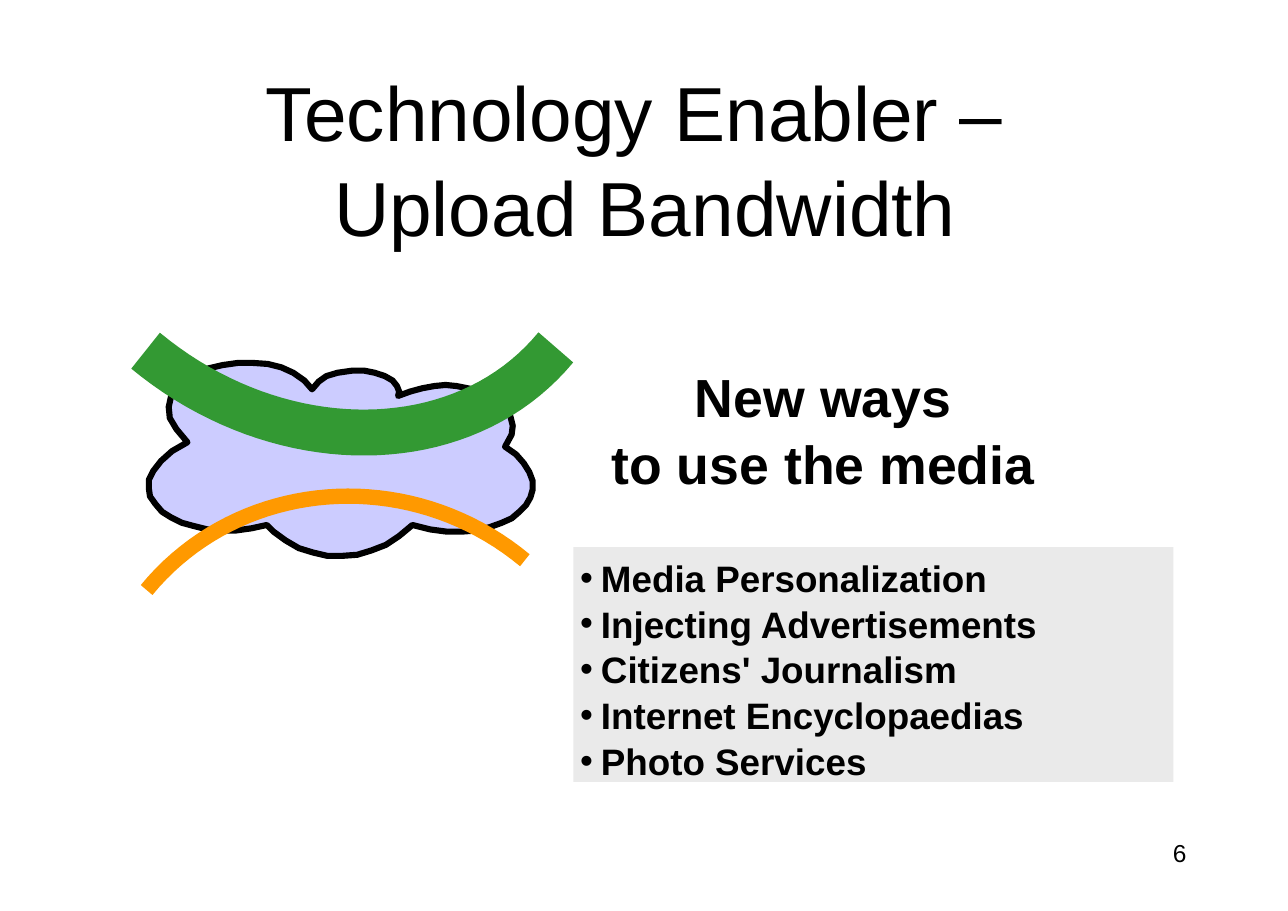
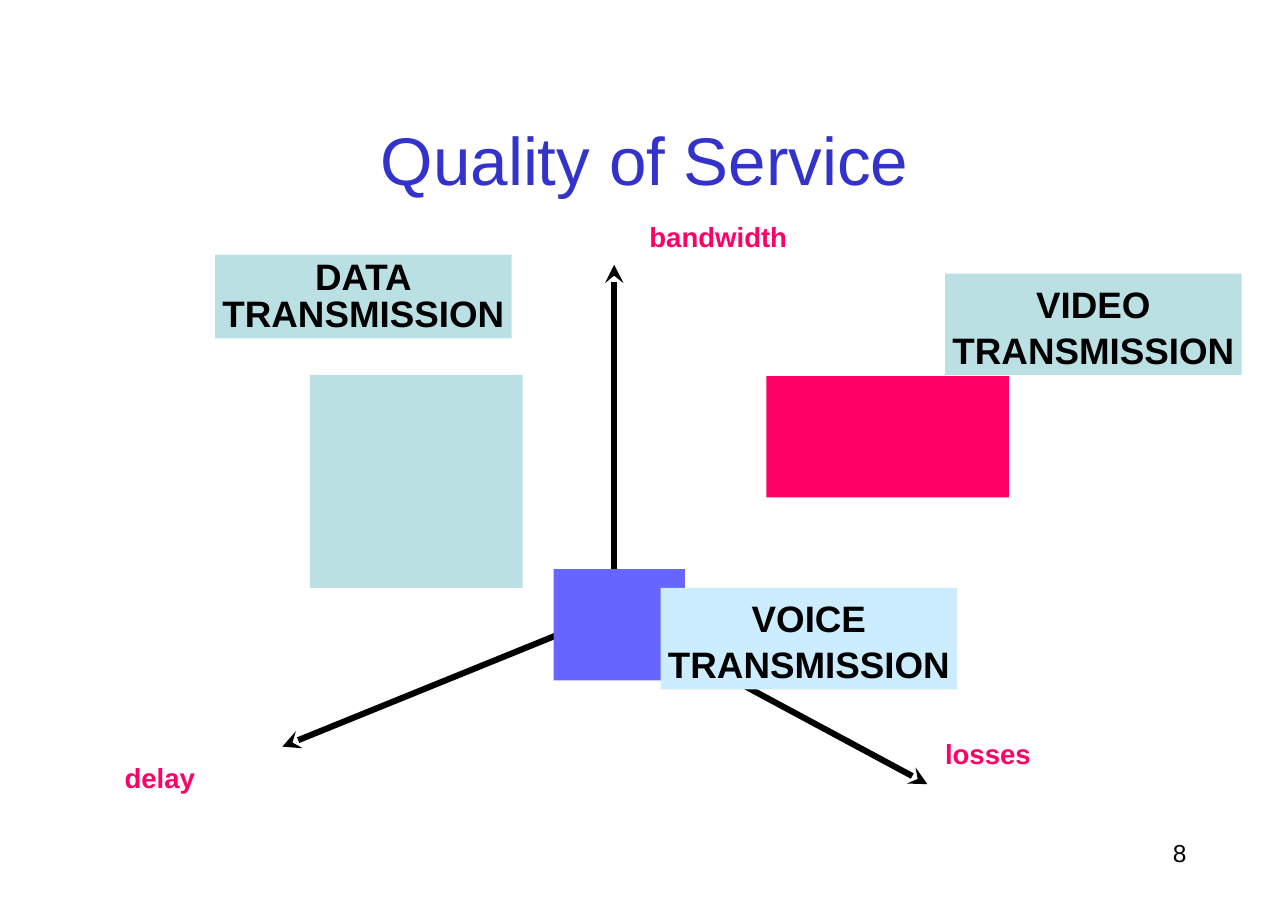
from pptx import Presentation
from pptx.dml.color import RGBColor
from pptx.enum.shapes import MSO_CONNECTOR as Connector, MSO_SHAPE as Shape
from pptx.enum.text import MSO_ANCHOR as Anchor, MSO_AUTO_SIZE as AutoSize, PP_ALIGN as Align
from pptx.oxml.ns import qn
from pptx.util import Inches, Pt
from lxml.etree import SubElement

# Shared style
FONT = "Arial"
INSET = Inches(0.06)
LEADING = 1.04
BLACK = RGBColor(0x00, 0x00, 0x00)
INDIGO = RGBColor(0x33, 0x33, 0xCC)
LAVENDER = RGBColor(0xCC, 0xCC, 0xFF)
GREEN = RGBColor(0x33, 0x99, 0x33)
ORANGE = RGBColor(0xFF, 0x99, 0x00)
GREY = RGBColor(0xEA, 0xEA, 0xEA)
PINK = RGBColor(0xFF, 0x00, 0x66)
BLUE = RGBColor(0x66, 0x66, 0xFF)
SKY = RGBColor(0xCC, 0xEC, 0xFF)
TEAL = RGBColor(0xBB, 0xE0, 0xE3)


def write(box, paragraphs, size, color=BLACK, bold=False, align=Align.LEFT,
          spacing=LEADING, anchor=Anchor.TOP, wrap=True):
    """Fill a box with paragraphs; a newline inside one is a line break."""
    frame = box.text_frame
    frame.word_wrap = wrap
    frame.auto_size = AutoSize.NONE
    frame.vertical_anchor = anchor
    frame.margin_left = frame.margin_right = INSET
    frame.margin_top = frame.margin_bottom = INSET
    for number, text in enumerate(paragraphs):
        para = frame.add_paragraph() if number else frame.paragraphs[0]
        para.alignment = align
        para.line_spacing = spacing
        para.space_before = Pt(0)
        for row, line in enumerate(text.split("\n")):
            if row:
                para.add_line_break()
            span = para.add_run()
            span.text = line
            span.font.name = FONT
            span.font.size = Pt(size)
            span.font.bold = bold
            span.font.color.rgb = color


def outline(page, points, color, width, fill=None):
    """Draw a freeform through points in inches, closed when it has a fill."""
    corners = [(Inches(x), Inches(y)) for x, y in points]
    builder = page.shapes.build_freeform(*corners[0])
    builder.add_line_segments(corners[1:], close=fill is not None)
    shape = builder.convert_to_shape()
    shape.shadow.inherit = False
    if fill is None:
        shape.fill.background()
    else:
        shape.fill.solid()
        shape.fill.fore_color.rgb = fill
    shape.line.color.rgb = color
    shape.line.width = Pt(width)
    SubElement(shape.line._get_or_add_ln(), qn("a:round"))


deck = Presentation()
deck.slide_width, deck.slide_height = Inches(11.68), Inches(8.26)

# The master places the title for every slide
master_title = deck.slide_master.placeholders[0]
master_title.left, master_title.top = Inches(0.88), Inches(0.73)
master_title.width, master_title.height = Inches(9.94), Inches(1.38)

# Slides with title and page number
pages = []
for layout, title, size, color, number in [
    (1, ["Technology Enabler – ", "Upload Bandwidth"], 50, BLACK, "6"),
    (5, ["Quality of Service"], 44, INDIGO, "8"),
]:
    page = deck.slides.add_slide(deck.slide_layouts[layout])
    write(page.shapes.title, title, size, color, align=Align.CENTER, anchor=Anchor.MIDDLE)
    box = page.shapes.add_textbox(Inches(10.44), Inches(7.54), Inches(0.38), Inches(0.36))
    write(box, [number], 16, align=Align.RIGHT, spacing=1.0)
    pages.append(page)
bandwidth_page, quality_page = pages

# Cloud, one row of points for each lobe
cloud = [
    (1.7, 4.01), (1.6, 3.89), (1.54, 3.79), (1.53, 3.69), (1.55, 3.6), (1.6, 3.52),
    (1.68, 3.44), (1.78, 3.39), (1.89, 3.34), (2.02, 3.31), (2.16, 3.29), (2.29, 3.29),
    (2.43, 3.3), (2.55, 3.33), (2.66, 3.38), (2.76, 3.45),
    (2.83, 3.53), (2.89, 3.46), (2.96, 3.41), (3.06, 3.38), (3.2, 3.36), (3.3, 3.36),
    (3.4, 3.38), (3.49, 3.41), (3.56, 3.45), (3.6, 3.5), (3.62, 3.55),
    (3.61, 3.59), (3.72, 3.55), (3.83, 3.52), (3.94, 3.5), (4.04, 3.49), (4.14, 3.5),
    (4.24, 3.52), (4.34, 3.54), (4.42, 3.58), (4.49, 3.62), (4.58, 3.69), (4.63, 3.78),
    (4.65, 3.86), (4.64, 3.94),
    (4.58, 4.05), (4.68, 4.12), (4.75, 4.2), (4.8, 4.28), (4.83, 4.36), (4.83, 4.44),
    (4.81, 4.51), (4.77, 4.58), (4.71, 4.64), (4.64, 4.7), (4.55, 4.74), (4.44, 4.78),
    (4.32, 4.81), (4.19, 4.82), (4.05, 4.82), (3.9, 4.8),
    (3.74, 4.76), (3.62, 4.86), (3.5, 4.94), (3.37, 4.99), (3.24, 5.03), (3.1, 5.04),
    (2.97, 5.04), (2.84, 5.01), (2.71, 4.97), (2.59, 4.9), (2.48, 4.82),
    (2.42, 4.76), (2.28, 4.79), (2.14, 4.81), (2.01, 4.81), (1.88, 4.8), (1.76, 4.77),
    (1.65, 4.74), (1.55, 4.69), (1.47, 4.64), (1.41, 4.57), (1.36, 4.5), (1.35, 4.43),
    (1.35, 4.35), (1.39, 4.27), (1.46, 4.18), (1.56, 4.09),
]
outline(bandwidth_page, cloud, BLACK, 4, LAVENDER)

# Download and upload arcs, sampled from cubic curves
STEPS = 40
for controls, color, width in [
    ([(1.32, 3.18), (2.53, 4.18), (4.2, 4.17), (5.04, 3.15)], GREEN, 30),
    ([(4.76, 5.08), (3.71, 4.21), (2.17, 4.33), (1.33, 5.35)], ORANGE, 10),
]:
    arc = []
    for step in range(STEPS + 1):
        t = step / STEPS
        weights = [(1 - t) ** 3, 3 * t * (1 - t) ** 2, 3 * t ** 2 * (1 - t), t ** 3]
        arc.append([sum(w * point[axis] for w, point in zip(weights, controls))
                    for axis in (0, 1)])
    outline(bandwidth_page, arc, color, width)

# List of new media uses
uses = bandwidth_page.placeholders[1]
uses.left, uses.top, uses.width, uses.height = (Inches(v) for v in (5.2, 4.96, 5.44, 2.13))
uses.fill.solid()
uses.fill.fore_color.rgb = GREY
write(uses, ["Media Personalization", "Injecting Advertisements", "Citizens' Journalism",
             "Internet Encyclopaedias", "Photo Services"], 24, bold=True)
for para in uses.text_frame.paragraphs:
    properties = para._p.get_or_add_pPr()
    properties.set("marL", str(Inches(0.19)))
    properties.set("indent", str(-Inches(0.19)))
    SubElement(properties, qn("a:buFont"), typeface=FONT)
    SubElement(properties, qn("a:buChar"), char="•")

# Heading above the list
box = bandwidth_page.shapes.add_textbox(Inches(5.47), Inches(3.22), Inches(3.99), Inches(1.29))
write(box, ["New ways\nto use the media"], 35, bold=True, align=Align.CENTER)

# Axes of service quality
for start_x, start_y, end_x, end_y in [
    (5.57, 5.61, 5.57, 2.4),
    (5.58, 5.59, 8.41, 7.11),
    (5.54, 5.56, 2.56, 6.77),
]:
    axis = quality_page.shapes.add_connector(
        Connector.STRAIGHT, Inches(start_x), Inches(start_y), Inches(end_x), Inches(end_y))
    axis.line.color.rgb = BLACK
    axis.line.width = Pt(4)
    SubElement(axis.line._get_or_add_ln(), qn("a:tailEnd"), type="stealth")
    SubElement(axis._element.spPr, qn("a:effectLst"))

# Axis names
for name, left, top, width in [
    ("bandwidth", 5.83, 1.93, 1.4),
    ("delay", 1.07, 6.84, 0.83),
    ("losses", 8.51, 6.62, 1.01),
]:
    box = quality_page.shapes.add_textbox(Inches(left), Inches(top), Inches(width), Inches(0.41))
    write(box, [name], 18, PINK, bold=True, spacing=1.0)

# Service areas and their labels
for left, top, width, height, color, label, spacing in [
    (5.02, 5.16, 1.19, 1.01, BLUE, None, None),
    (6.95, 3.41, 2.2, 1.1, PINK, None, None),
    (5.99, 5.33, 2.69, 0.92, SKY, "VOICE\nTRANSMISSION", LEADING),
    (8.57, 2.48, 2.69, 0.92, TEAL, "VIDEO\nTRANSMISSION", LEADING),
    (1.95, 2.31, 2.69, 0.76, TEAL, "DATA\nTRANSMISSION", 0.83),
    (2.81, 3.4, 1.93, 1.93, TEAL, None, None),
]:
    area = quality_page.shapes.add_shape(
        Shape.RECTANGLE, Inches(left), Inches(top), Inches(width), Inches(height))
    area.shadow.inherit = False
    area.fill.solid()
    area.fill.fore_color.rgb = color
    area.line.fill.background()
    if label:
        write(area, [label], 24, bold=True, align=Align.CENTER, spacing=spacing, wrap=False)

deck.save("out.pptx")
